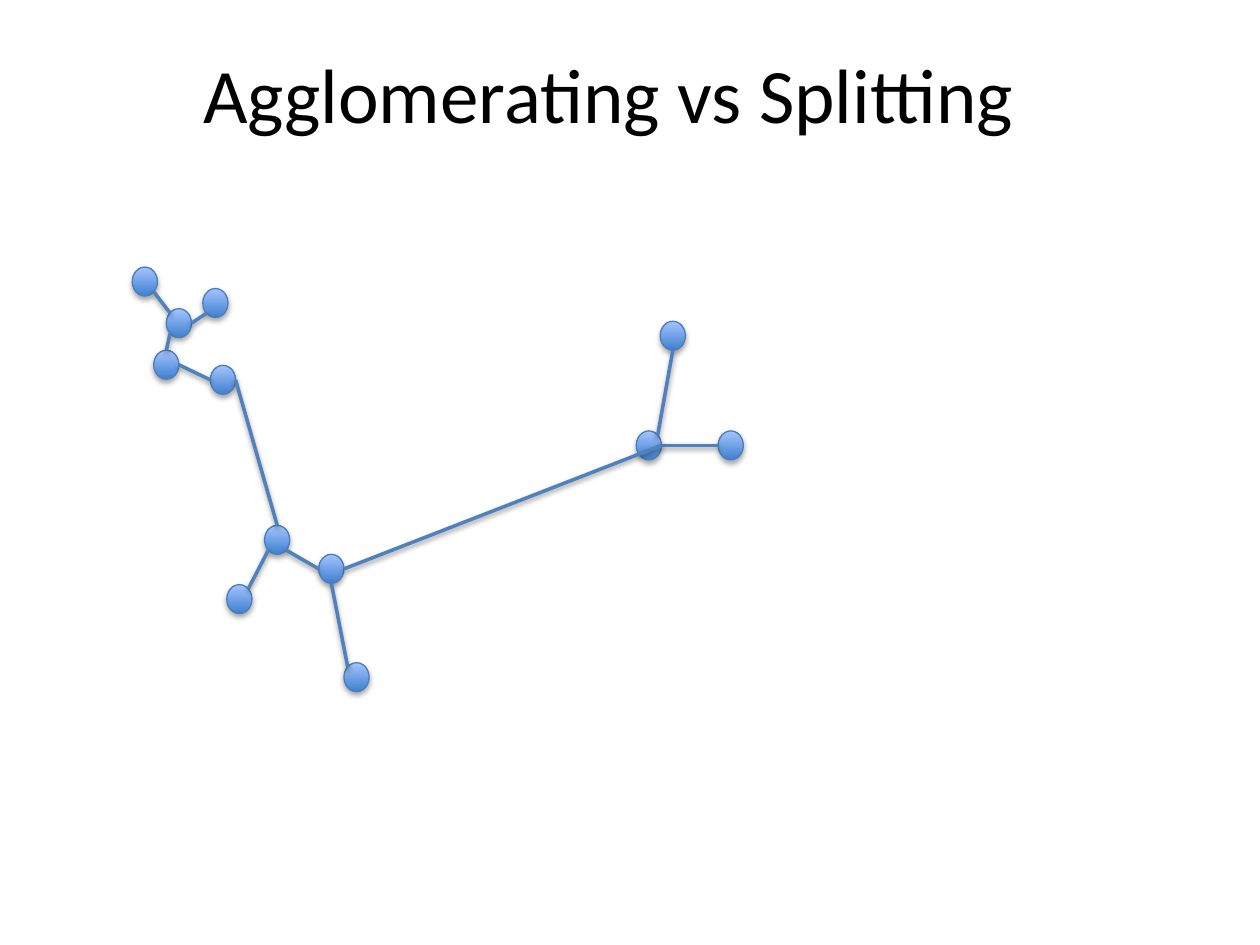
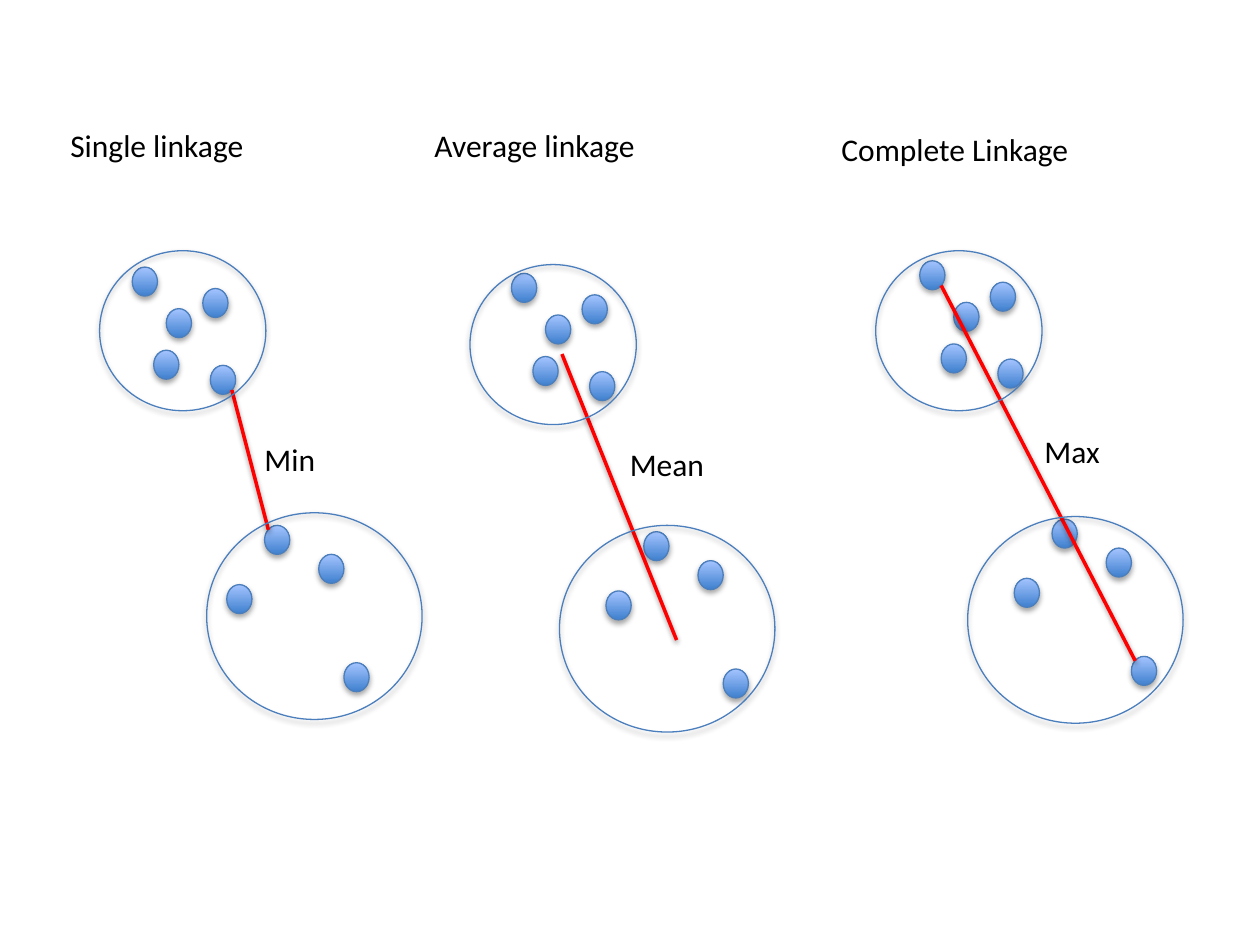
import pptx
import pptx.dml.color
import pptx.enum.shapes
import pptx.enum.text
import pptx.oxml
import pptx.util
from pptx.util import Inches

DOT_WIDTH, DOT_HEIGHT = 0.2, 0.23
BLUE, RED, BLACK = "4F81BD", "FF0000", "000000"
OUTLINE, DOT_BOTTOM, DOT_TOP = "4B7EBC", "3F80CE", "A4C4FF"

UPPER_DOTS = {
    "crown": (1.05, 2.12),
    "east": (1.61, 2.29),
    "hub": (1.32, 2.45),
    "west": (1.22, 2.78),
    "gate": (1.67, 2.9),
}
LOWER_DOTS = {
    "peak": (2.1, 4.17),
    "middle": (2.53, 4.4),
    "side": (1.8, 4.64),
    "foot": (2.73, 5.26),
}
FAR_DOTS = {"corner": (5.05, 3.42), "right": (5.7, 3.42), "above": (5.24, 2.55)}
CLUSTERS = {**UPPER_DOTS, **LOWER_DOTS}

SITES = {
    "top": (0.5, 0),
    "bottom": (0.5, 1),
    "left": (0, 0.5),
    "right": (1, 0.5),
    "top left": (0.15, 0.15),
    "top right": (0.85, 0.15),
    "bottom left": (0.15, 0.85),
    "bottom right": (0.85, 0.85),
}

TREE_EDGES = [
    ("crown", "bottom right", "hub", "top left"),
    ("hub", "right", "east", "bottom left"),
    ("west", "right", "gate", "left"),
    ("hub", "bottom left", "west", "top"),
    ("side", "top right", "peak", "bottom left"),
    ("peak", "bottom right", "middle", "left"),
    ("foot", "top left", "middle", "bottom"),
    ("above", "bottom", "corner", "top right"),
    ("corner", "right", "right", "left"),
    ("gate", "right", "peak", "top"),
    ("middle", "right", "corner", "right"),
]


def color(value):
    return pptx.dml.color.RGBColor.from_string(value)


def shifted(dots, across, down):
    return {name: (left + across, top + down) for name, (left, top) in dots.items()}


def site(dots, name, place):
    left, top = dots[name]
    across, down = SITES[place]
    return left + across * DOT_WIDTH, top + down * DOT_HEIGHT


class Sketch:
    def __init__(self):
        self.deck = pptx.Presentation()
        self.deck.slide_width = Inches(10)
        self.deck.slide_height = Inches(7.5)
        self.page = None

    def add_page(self):
        self.page = self.deck.slides.add_slide(self.deck.slide_layouts[6])

    def shadow(self, item, distance, opacity):
        namespace = "http://schemas.openxmlformats.org/drawingml/2006/main"
        item._element.spPr.append(pptx.oxml.parse_xml(
            f'<a:effectLst xmlns:a="{namespace}">'
            f'<a:outerShdw blurRad="{pptx.util.Pt(3.1)}" dist="{pptx.util.Pt(distance)}"'
            ' dir="5400000" rotWithShape="0">'
            f'<a:srgbClr val="{BLACK}"><a:alpha val="{opacity * 1000}"/></a:srgbClr>'
            '</a:outerShdw></a:effectLst>'))

    def ellipse(self, left, top, width, height, filled):
        oval = self.page.shapes.add_shape(
            pptx.enum.shapes.MSO_SHAPE.OVAL,
            Inches(left), Inches(top), Inches(width), Inches(height))
        if filled:
            oval.fill.gradient()
            oval.fill.gradient_angle = 90
            for stop, position, shade in zip(
                    oval.fill.gradient_stops, (0, 1), (DOT_BOTTOM, DOT_TOP)):
                stop.position = position
                stop.color.rgb = color(shade)
        else:
            oval.fill.background()
        oval.line.color.rgb = color(OUTLINE)
        oval.line.width = pptx.util.Pt(0.75)
        self.shadow(oval, 1.8, 35)

    def dots(self, places):
        for left, top in places.values():
            self.ellipse(left, top, DOT_WIDTH, DOT_HEIGHT, True)

    def line(self, start, end, shade):
        link = self.page.shapes.add_connector(
            pptx.enum.shapes.MSO_CONNECTOR.STRAIGHT,
            *(Inches(length) for length in (*start, *end)))
        link.line.color.rgb = color(shade)
        link.line.width = pptx.util.Pt(2)
        self.shadow(link, 1.6, 38)

    def text(self, words, left, top, width, height=0.4, size=18):
        box = self.page.shapes.add_textbox(
            Inches(left), Inches(top), Inches(width), Inches(height))
        box.text_frame.word_wrap = False
        para = box.text_frame.paragraphs[0]
        para.text = words
        para.font.name = "Calibri"
        para.font.size = pptx.util.Pt(size)
        para.font.color.rgb = color(BLACK)
        return box

    def title(self, words):
        frame = self.text(words, 0.33, 0.11, 9, 1.25, 44).text_frame
        frame.word_wrap = True
        frame.vertical_anchor = pptx.enum.text.MSO_ANCHOR.MIDDLE
        frame.paragraphs[0].alignment = pptx.enum.text.PP_ALIGN.CENTER


def draw_tree(sketch):
    sketch.add_page()
    sketch.title("Agglomerating vs Splitting")
    dots = {**CLUSTERS, **FAR_DOTS}
    sketch.dots(dots)
    for start, start_site, end, end_site in TREE_EDGES:
        sketch.line(site(dots, start, start_site), site(dots, end, end_site), BLUE)


def draw_linkages(sketch):
    sketch.add_page()
    single = CLUSTERS
    average = shifted(CLUSTERS, 3.01, 0.05)
    complete = shifted(CLUSTERS, 6.25, -0.05)
    linkages = [
        (single, (0.79, 1.99), (1.64, 4.07),
         (site(single, "gate", "bottom right"), site(single, "peak", "top left")),
         ("Single linkage", 0.46, 0.95, 1.6), ("Min", 2, 3.44, 0.61)),
        (average, (3.73, 2.1), (4.44, 4.17), ((4.46, 2.81), (5.37, 5.08)),
         ("Average linkage", 3.35, 0.95, 1.83), ("Mean", 4.9, 3.48, 0.8)),
        (complete, (6.95, 1.99), (7.68, 4.1),
         (site(complete, "crown", "bottom right"), site(complete, "foot", "top left")),
         ("Complete Linkage", 6.58, 0.98, 2.03), ("Max", 8.19, 3.38, 0.65)),
    ]
    for dots, upper_ring, lower_ring, distance, heading, measure in linkages:
        sketch.dots(dots)
        sketch.line(*distance, RED)
        sketch.ellipse(*upper_ring, 1.32, 1.27, False)
        sketch.ellipse(*lower_ring, 1.71, 1.64, False)
        sketch.text(*heading)
        sketch.text(*measure)


def main():
    sketch = Sketch()
    draw_tree(sketch)
    draw_linkages(sketch)
    sketch.deck.save("out.pptx")


if __name__ == "__main__":
    main()
